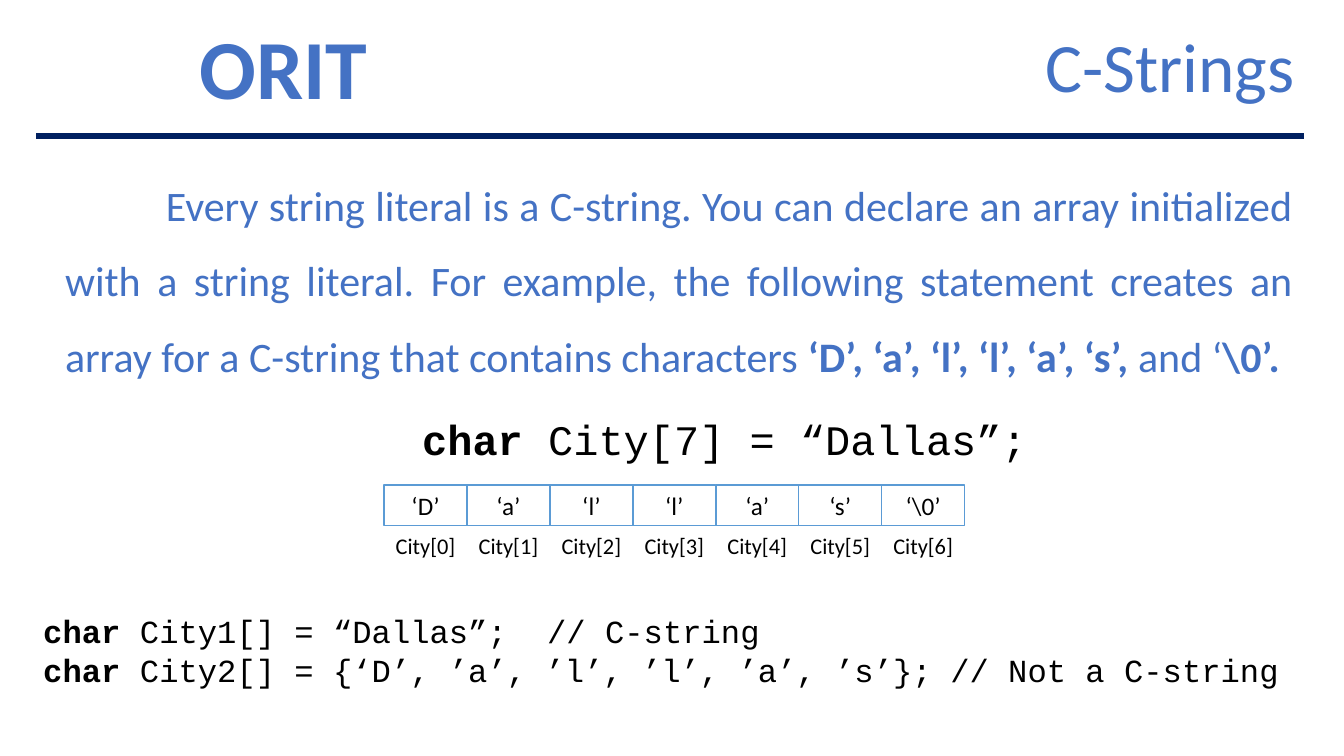
"""Build a slide that explains how C-strings are stored in arrays."""
from lxml import etree
from pptx import Presentation
from pptx.dml.color import RGBColor
from pptx.enum.shapes import MSO_CONNECTOR, MSO_SHAPE
from pptx.enum.text import MSO_ANCHOR, MSO_AUTO_SIZE, PP_ALIGN
from pptx.oxml.ns import qn
from pptx.util import Cm, Pt

RECTANGLE = MSO_SHAPE.RECTANGLE
STRAIGHT = MSO_CONNECTOR.STRAIGHT
TOP, MIDDLE, BOTTOM = MSO_ANCHOR.TOP, MSO_ANCHOR.MIDDLE, MSO_ANCHOR.BOTTOM
GROW, FIXED = MSO_AUTO_SIZE.SHAPE_TO_FIT_TEXT, MSO_AUTO_SIZE.NONE
LEFT, CENTER, RIGHT = PP_ALIGN.LEFT, PP_ALIGN.CENTER, PP_ALIGN.RIGHT
JUSTIFY = PP_ALIGN.JUSTIFY
BLUE, NAVY, SKY = "4472C4", "002060", "5B9BD5"
BLACK, WHITE = "000000", "FFFFFF"
SANS, MONO = "Calibri", "Courier New"


def color(value):
    return RGBColor.from_string(value)


class SlideBuilder:
    def __init__(self, presentation):
        self.slide = presentation.slides.add_slide(presentation.slide_layouts[6])
        self.shapes = self.slide.shapes

    def group(self):
        return self.slide.shapes.add_group_shape().shapes

    def paragraph(self, paragraph, runs, size, ink, font=SANS, margin=0, indent=0,
                  tab=None, **formats):
        for name, value in formats.items():
            setattr(paragraph, name, value)
        properties = paragraph._p.get_or_add_pPr()
        properties.set("marL", str(Cm(margin)))
        properties.set("indent", str(Cm(indent)))
        if tab:
            stops = etree.SubElement(properties, qn("a:tabLst"))
            etree.SubElement(stops, qn("a:tab"), pos=str(Cm(tab)), algn="l")
        for text, bold in runs:
            run = paragraph.add_run()
            run.text = text
            run.font.color.rgb = color(ink)
            for name, value in {"size": Pt(size), "name": font, "bold": bold}.items():
                setattr(run.font, name, value)

    def fill_text(self, shape, paragraphs, anchor=TOP, wrap=True, auto_size=FIXED):
        frame = shape.text_frame
        formats = {"word_wrap": wrap, "auto_size": auto_size, "vertical_anchor": anchor}
        for name, value in formats.items():
            setattr(frame, name, value)
        for index, options in enumerate(paragraphs):
            target = frame.add_paragraph() if index else frame.paragraphs[0]
            self.paragraph(target, **options)

    def text(self, box, paragraphs, parent=None, **frame_options):
        shapes = self.shapes if parent is None else parent
        shape = shapes.add_textbox(*map(Cm, box))
        self.fill_text(shape, paragraphs, **frame_options)

    def cell(self, box, paragraphs, parent):
        shape = parent.add_shape(RECTANGLE, *map(Cm, box))
        shape.shadow.inherit = False
        shape.fill.solid()
        shape.fill.fore_color.rgb = color(WHITE)
        shape.line.color.rgb = color(SKY)
        shape.line.width = Pt(1)
        self.fill_text(shape, paragraphs, anchor=MIDDLE, auto_size=GROW)

    def rule(self, left, right, top):
        line = self.shapes.add_connector(STRAIGHT, Cm(left), Cm(top), Cm(right), Cm(top))
        line.line.color.rgb = color(NAVY)
        line.line.width = Pt(4.5)
        etree.SubElement(line._element.spPr, qn("a:effectLst"))


def add_header(builder):
    builder.text((4.78, 0.66, 4.9, 2.06), [
        dict(runs=[("ORIT", True)], size=60, ink=BLUE, alignment=JUSTIFY,
             line_spacing=0.85, space_before=Pt(13))])
    builder.rule(0.91, 32.87, 3.43)
    builder.text((10.49, 0.84, 22.38, 1.9), [
        dict(runs=[("C-Strings", False)], size=49.5, ink=BLUE, alignment=RIGHT,
             line_spacing=0.7)], anchor=BOTTOM)


def add_explanation(builder):
    spacing = dict(size=30, line_spacing=1.5, space_before=Pt(5))
    sentence = [
        ("Every string literal is a C-string. You can declare an array initialized "
         "with a string literal. For example, the following statement creates an "
         "array for a C-string that contains characters ", False),
        ("‘D’, ‘a’, ‘l’, ‘l’, ‘a’, ‘s’, ", True), ("and ‘", False), ("\\0’.", True)]
    declaration = [("char ", True), ("City[7] = “Dallas”;", False)]
    builder.text((0.91, 3.76, 31.95, 8.43), [
        dict(runs=sentence, ink=BLUE, margin=0.48, indent=2.54, alignment=JUSTIFY,
             **spacing),
        dict(runs=declaration, ink=BLACK, font=MONO, margin=2.75, alignment=CENTER,
             **spacing)])


def add_array(builder):
    cells = builder.group()
    left, width = 9.68, 2.09
    for index, character in enumerate(["D", "a", "l", "l", "a", "s", "\\0"]):
        start = left + index * width
        builder.cell((start, 12.22, width, 1.02), [
            dict(runs=[(f"‘{character}’", False)], size=18, ink=BLACK,
                 alignment=CENTER)], cells)
        builder.text((start, 13.28, width, 0.94), [
            dict(runs=[(f"City[{index}]", False)], size=16, ink=BLACK,
                 alignment=CENTER)], parent=cells, auto_size=GROW)


def add_comparison(builder):
    statements = [
        ("City1[] = “Dallas”;\t// C-string", 12.4),
        ("City2[] = {‘D’, ’a’, ’l’, ’l’, ’a’, ’s’};\t// Not a C-string", 23.1)]
    builder.text((0.84, 15.29, 32.13, 2.24), [
        dict(runs=[("char ", True), (code, False)], size=23, ink=BLACK, font=MONO,
             tab=tab, alignment=LEFT)
        for code, tab in statements], wrap=False, auto_size=GROW)


def main():
    presentation = Presentation()
    presentation.slide_width, presentation.slide_height = Cm(33.87), Cm(19.05)
    builder = SlideBuilder(presentation)
    add_header(builder)
    add_explanation(builder)
    add_array(builder)
    add_comparison(builder)
    presentation.save("out.pptx")


if __name__ == "__main__":
    main()
